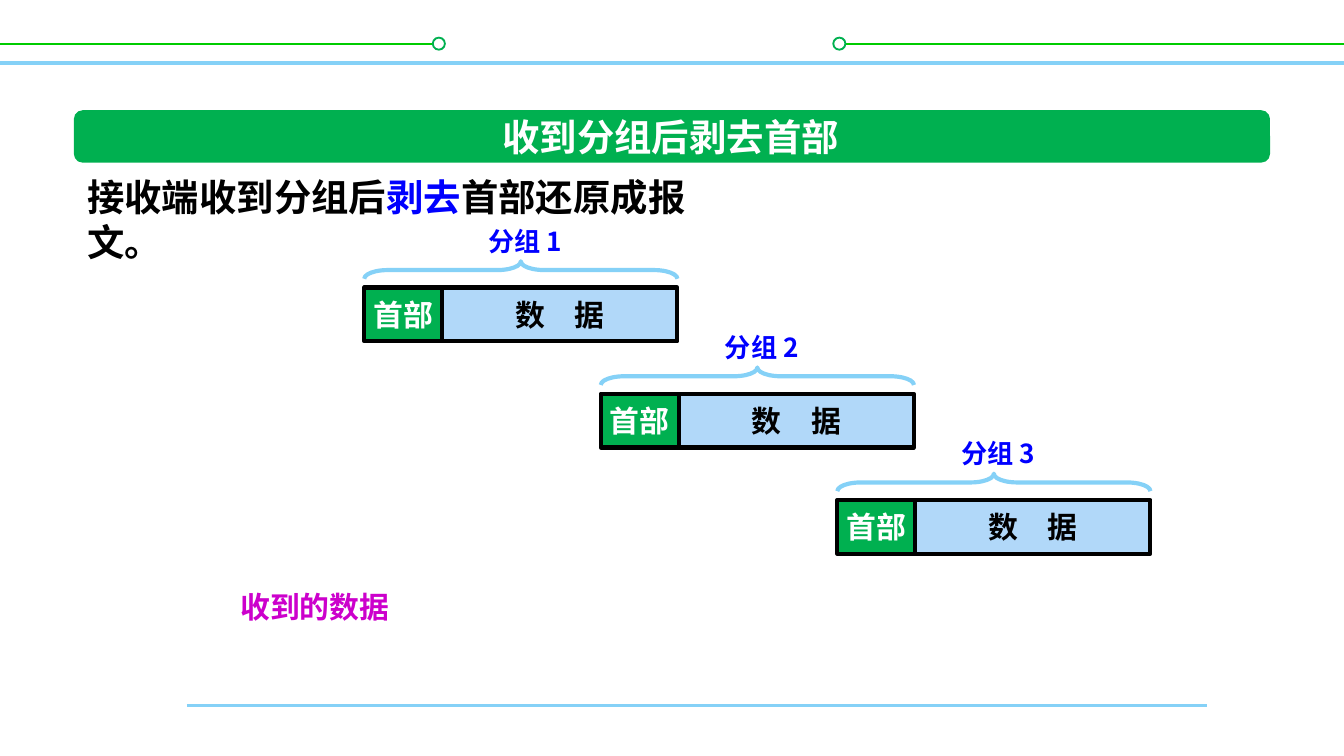
from pptx import Presentation
from pptx.dml.color import RGBColor
from pptx.enum import shapes, text
from pptx.oxml.ns import qn
from pptx.util import Inches, Pt

WHITE = RGBColor(0xFF, 0xFF, 0xFF)
BLACK = RGBColor(0x00, 0x00, 0x00)
GREEN = RGBColor(0x00, 0xB0, 0x50)
LIME = RGBColor(0x00, 0xCC, 0x00)
SKY = RGBColor(0x85, 0xD1, 0xF7)
PALE_BLUE = RGBColor(0xB1, 0xD8, 0xF9)
BLUE = RGBColor(0x00, 0x00, 0xFF)
MAGENTA = RGBColor(0xCC, 0x00, 0xCC)

CJK_FONT = "Noto Sans CJK SC"
SHAPE = shapes.MSO_SHAPE
MIDDLE = text.MSO_ANCHOR.MIDDLE
CENTER = text.PP_ALIGN.CENTER
GROW = text.MSO_AUTO_SIZE.SHAPE_TO_FIT_TEXT


def add_line(s, x1, x2, y, color, width):
    """Horizontal rule without a shadow."""
    line = s.shapes.add_connector(shapes.MSO_CONNECTOR.STRAIGHT, Inches(x1),
                                  Inches(y), Inches(x2), Inches(y))
    line.line.color.rgb = color
    line.line.width = Pt(width)
    sp_pr = line._element.spPr
    sp_pr.append(sp_pr.makeelement(qn("a:effectLst"), {}))


def add_shape(s, kind, box, fill=None, line=None, width=1, adjustments=()):
    sp = s.shapes.add_shape(kind, *map(Inches, box))
    sp.shadow.inherit = False
    if fill is None:
        sp.fill.background()
    else:
        sp.fill.solid()
        sp.fill.fore_color.rgb = fill
    if line is None:
        sp.line.fill.background()
    else:
        sp.line.color.rgb = line
        sp.line.width = Pt(width)
    for i, value in enumerate(adjustments):
        sp.adjustments[i] = value
    return sp


def write(sp, runs, size, font=CJK_FONT, align=None, **frame):
    """Fill a shape with one bold paragraph of (wording, colour) runs."""
    tf = sp.text_frame
    for name, value in frame.items():
        setattr(tf, name, value)
    p = tf.paragraphs[0]
    p.alignment = align
    for wording, color in runs:
        r = p.add_run()
        r.text = wording
        for name, value in {"size": Pt(size), "bold": True, "name": font}.items():
            setattr(r.font, name, value)
        r.font.color.rgb = color
        r_pr = r.font._element
        latin = r_pr.find(qn("a:latin"))
        latin.addnext(r_pr.makeelement(qn("a:ea"), {"typeface": CJK_FONT}))


def add_text(s, box, runs, size, **options):
    write(s.shapes.add_textbox(*map(Inches, box)), runs, size, **options)


def add_frame(s):
    add_line(s, 0, 10, 0.47, SKY, 2)
    for x1, x2, ring_x in ((0, 3.24, 3.22), (6.2, 10, 6.2)):
        add_line(s, x1, x2, 0.33, LIME, 1)
        add_shape(s, SHAPE.OVAL, (ring_x, 0.28, 0.09, 0.09), WHITE, GREEN)
    add_line(s, 1.39, 8.98, 5.25, SKY, 1.5)


def add_packet(s, number, x, y):
    """Header and data cells, with a brace and a label above them."""
    head_w, data_w, h = 0.58, 1.75, 0.4
    for cell_x, w, wording, fill, color in (
            (x + head_w, data_w, "数　据", PALE_BLUE, BLACK),
            (x, head_w, "首部", GREEN, WHITE)):
        cell = add_shape(s, SHAPE.RECTANGLE, (cell_x, y, w, h), fill, BLACK, 2.25)
        write(cell, [(wording, color)], 16, align=CENTER,
              word_wrap=False, vertical_anchor=MIDDLE)

    total_w, brace_h = head_w + data_w, 0.13
    middle_x, brace_y = x + total_w / 2, y - 0.13
    brace = add_shape(s, SHAPE.LEFT_BRACE,
                      (middle_x - brace_h / 2, brace_y - total_w / 2, brace_h, total_w),
                      line=SKY, width=2.25, adjustments=(1.34, 0.5))
    brace.rotation = 90
    add_text(s, (middle_x - 0.34, y - 0.52, 0.78, 0.34),
             [(f"分组 {number}", BLUE)], 14, word_wrap=False,
             vertical_anchor=MIDDLE, margin_right=0)


def main():
    prs = Presentation()
    prs.slide_width = Inches(10)
    prs.slide_height = prs.slide_width * 9 // 16
    s = prs.slides.add_slide(prs.slide_layouts[6])

    add_frame(s)
    add_shape(s, SHAPE.ROUNDED_RECTANGLE, (0.55, 0.82, 8.9, 0.39), GREEN)
    add_text(s, (3.64, 0.8, 2.73, 0.44), [("收到分组后剥去首部", WHITE)], 20,
             font="Calibri", word_wrap=False, auto_size=GROW)
    add_text(s, (0.55, 1.25, 5.16, 0.44),
             [("接收端收到分组后", BLACK), ("剥去", BLUE), ("首部还原成报文。", BLACK)],
             20, word_wrap=True, margin_right=Inches(0.45))
    for i in range(3):
        add_packet(s, i + 1, 2.71 + 1.76 * i, 2.14 + 0.79 * i)
    add_text(s, (1.69, 4.33, 1.72, 0.37), [("收到的数据", MAGENTA)], 16,
             word_wrap=True, auto_size=GROW)
    prs.save("out.pptx")


if __name__ == "__main__":
    main()
